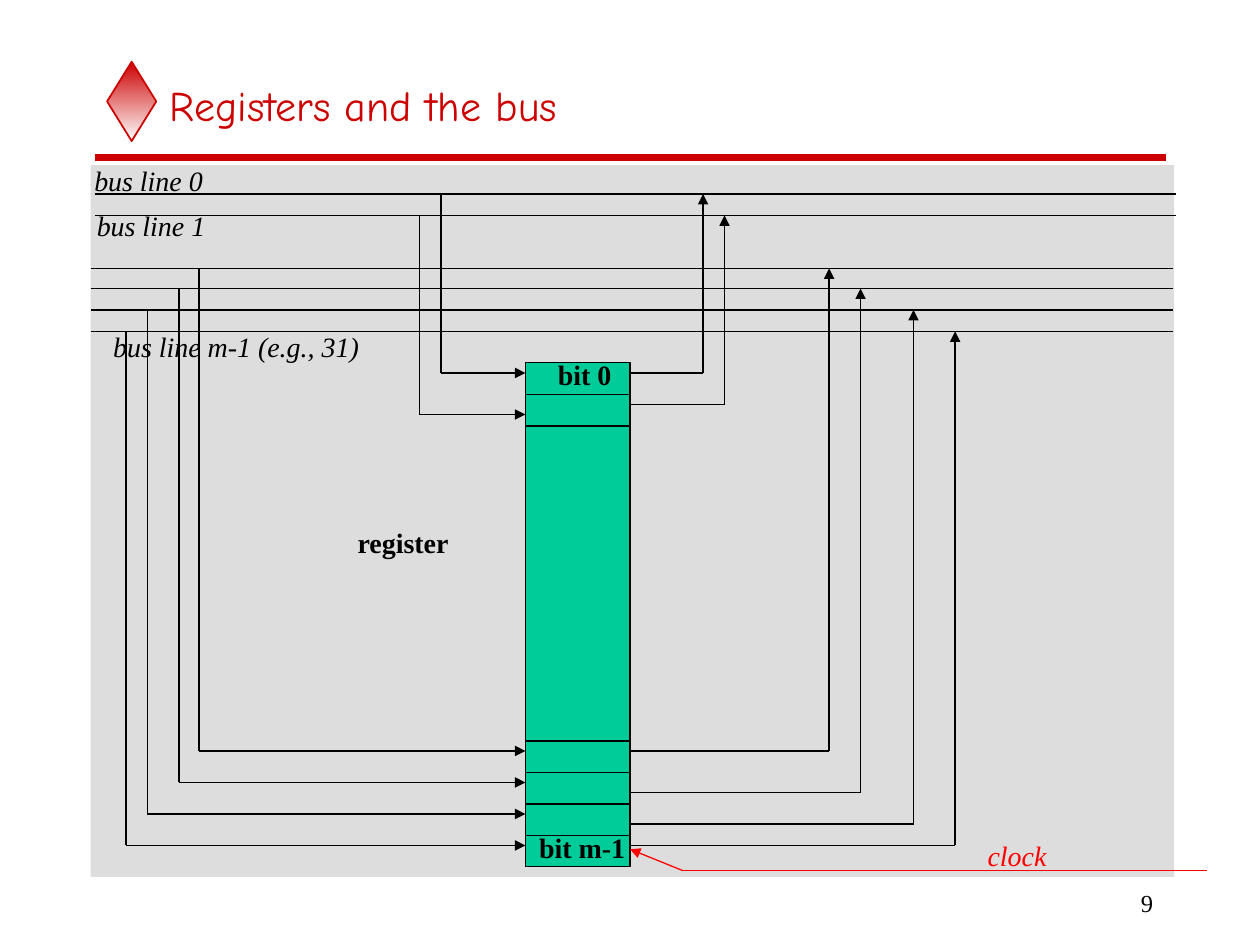
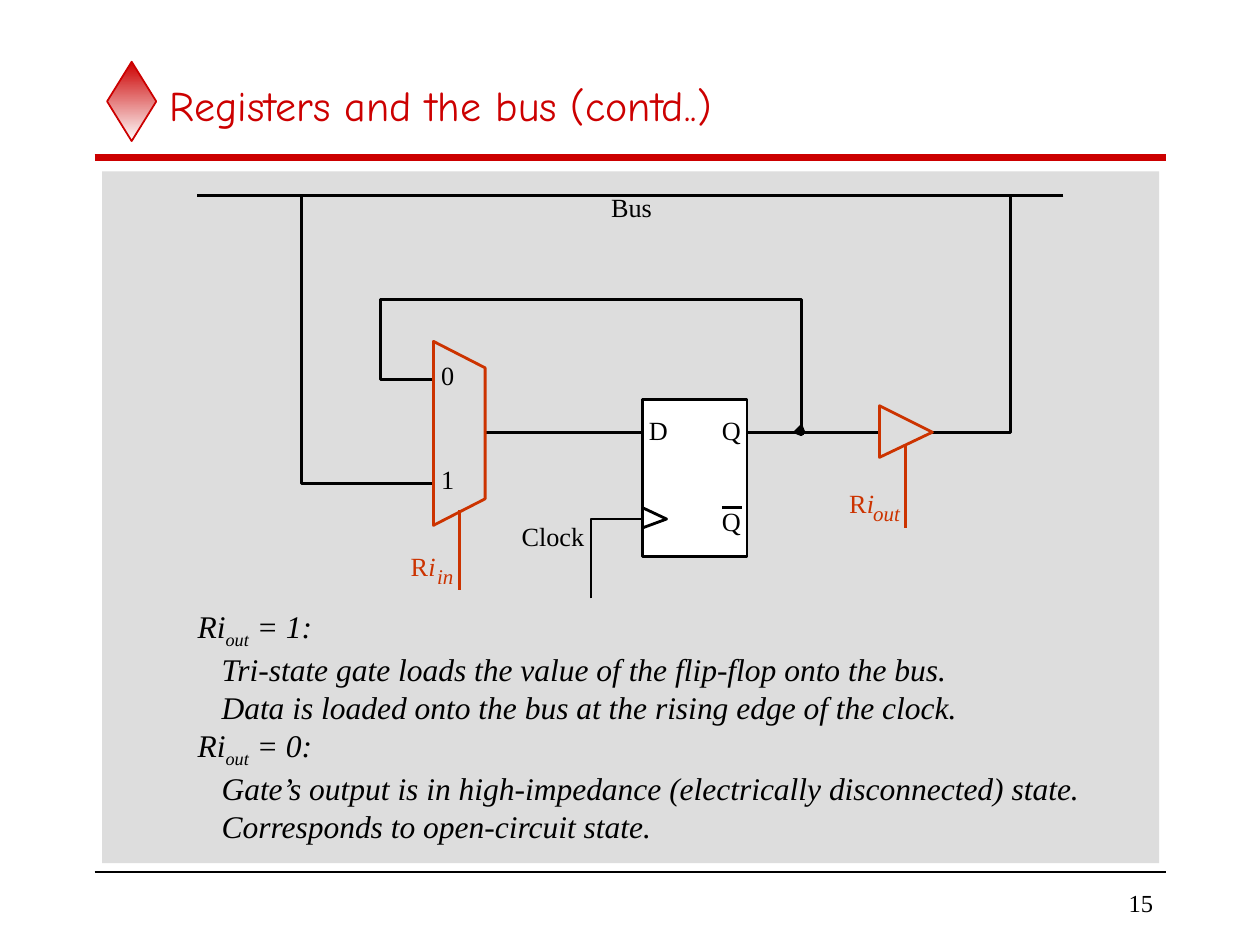
from lxml import etree
from pptx import Presentation
from pptx.dml.color import RGBColor
from pptx.enum import shapes, text
from pptx.oxml.ns import qn
from pptx.util import Emu, Pt

PX = 9144
COLORS = {
    "red": "CC0000", "pale": "FEFEFE", "panel": "DDDDDD", "green": "00CC99",
    "black": "000000", "white": "FFFFFF", "clock": "FF0000", "control": "CC3300",
}
THIN, WIRE = 0.75, 1.62
SERIF, TITLE_FONT = "Times New Roman", "Comic Neue"
FITTED = {"word_wrap": False, "auto_size": text.MSO_AUTO_SIZE.SHAPE_TO_FIT_TEXT}
CENTERED = {"word_wrap": True, "vertical_anchor": text.MSO_ANCHOR.MIDDLE}


def px(*values):
    return [Emu(value * PX) for value in values]


def rgb(name):
    return RGBColor.from_string(COLORS[name])


class Deck:
    def __init__(self):
        self.presentation = Presentation()
        self.presentation.slide_width, self.presentation.slide_height = px(1000, 750)
        self.slide = None

    def start(self, title, number, panel, footer_rule=False):
        self.slide = self.presentation.slides.add_slide(self.presentation.slide_layouts[6])
        diamond = self.shape("DIAMOND", (85, 49, 39, 63), None, "red", 1)
        diamond.fill.gradient()
        diamond.fill.gradient_angle = 270
        for stop, color in zip(diamond.fill.gradient_stops, ("red", "pale")):
            stop.color.rgb = rgb(color)
        self.line(75, 125, 925, 125, "red", 4)
        if footer_rule:
            self.line(75, 692, 925, 692, "black", 1)
        self.shape("RECTANGLE", panel, "panel")
        self.text((125, 50, 800, 67), title, 24, "red", TITLE_FONT, frame=CENTERED)
        self.text((783, 700, 142, 33), number, 14, frame=CENTERED,
                  align=text.PP_ALIGN.RIGHT)

    def finish(self, shape, fill, line, width):
        shape.shadow.inherit = False
        if fill:
            shape.fill.solid()
            shape.fill.fore_color.rgb = rgb(fill)
        else:
            shape.fill.background()
        if line:
            shape.line.color.rgb = rgb(line)
            shape.line.width = Pt(width)
        else:
            shape.line.fill.background()
        return shape

    def shape(self, kind, box, fill=None, line=None, width=THIN):
        shape = self.slide.shapes.add_shape(
            getattr(shapes.MSO_SHAPE, kind), *px(*box))
        return self.finish(shape, fill, line, width)

    def outline(self, points, color="black", fill=None, closed=False):
        builder = self.slide.shapes.build_freeform(*points[0], scale=PX)
        builder.add_line_segments(points[1:], close=closed)
        return self.finish(builder.convert_to_shape(), fill, color, WIRE)

    def line(self, x1, y1, x2, y2, color="black", width=THIN, arrow=False):
        connector = self.slide.shapes.add_connector(
            shapes.MSO_CONNECTOR.STRAIGHT, *px(x1, y1, x2, y2))
        connector.line.color.rgb = rgb(color)
        connector.line.width = Pt(width)
        properties = connector._element.spPr
        if arrow:
            etree.SubElement(properties.find(qn("a:ln")), qn("a:tailEnd"), type="triangle")
        etree.SubElement(properties, qn("a:effectLst"))

    def text(self, box, content, size, color="black", font=SERIF, inset=True,
             frame=FITTED, align=None, **style):
        text_frame = self.slide.shapes.add_textbox(*px(*box)).text_frame
        side, edge = (10, 5) if inset else (0, 0)
        margins = dict(zip(("margin_left", "margin_right", "margin_top", "margin_bottom"),
                           px(side, side, edge, edge)))
        for name, value in {**margins, **frame}.items():
            setattr(text_frame, name, value)
        paragraph = text_frame.paragraphs[0]
        paragraph.alignment = align
        self.run(paragraph, content, size, color, font, **style)
        return text_frame

    def run(self, paragraph, content, size, color="black", font=SERIF, **style):
        run = paragraph.add_run()
        run.text = content
        for name, value in {"name": font, "size": Pt(size), **style}.items():
            setattr(run.font, name, value)
        run.font.color.rgb = rgb(color)
        return run

    def label(self, left, top, width, content, color="black", **style):
        self.text((left, top, width, 37), content, 16, color, **style)

    def pin(self, left, top, width, content, color="black", size=15, **style):
        self.text((left, top, width, 25), content, size, color, inset=False, **style)

    def control_name(self, left, top, subscript, width, gap):
        self.pin(left, top, 14, "R", "control")
        self.pin(left + 14, top, 6, "i", "control", italic=True)
        self.pin(left + gap, top + 10, width, subscript, "control", 12, italic=True)

    def states(self, box, groups):
        text_frame = self.text(box, "Ri", 18, italic=True)
        paragraph = text_frame.paragraphs[0]
        for index, (value, notes) in enumerate(groups):
            if index:
                paragraph = text_frame.add_paragraph()
                self.run(paragraph, "Ri", 18, italic=True)
            subscript = self.run(paragraph, "out", 18, italic=True)
            subscript._r.get_or_add_rPr().set("baseline", "-25000")
            self.run(paragraph, f" = {value}:", 18, italic=True)
            for note in notes:
                paragraph = text_frame.add_paragraph()
                paragraph._p.get_or_add_pPr().set("marL", str(19 * PX))
                self.run(paragraph, note, 18, italic=True)


def register_slide(deck):
    deck.start("Registers and the bus", "9", (72, 131, 860, 565))
    left, right = 417, 500
    deck.shape("RECTANGLE", (left, 288, right - left, 400), "green", "black")
    for y in (313, 338, 588, 613, 638, 663):
        deck.line(left, y, right, y)

    bus_lines = (154, 171, 213, 229, 246, 263)
    inputs = ((350, 296), (333, 329), (158, 596), (142, 621), (117, 646), (100, 671))
    outputs = ((558, 296), (575, 321), (658, 596), (683, 629), (725, 654), (758, 671))
    for index, y in enumerate(bus_lines):
        start, end = (75, 933) if index < 2 else (72, 931)
        deck.line(start, y, end, y)
    for bus, (x, y) in zip(bus_lines, inputs):
        deck.line(x, bus, x, y)
        deck.line(x, y, left, y, arrow=True)
    for bus, (x, y) in zip(bus_lines, outputs):
        deck.line(right, y, x, y)
        deck.line(x, y, x, bus, arrow=True)

    deck.label(65, 125, 107, "bus line 0", italic=True)
    deck.label(67, 161, 107, "bus line 1", italic=True)
    deck.label(80, 257, 216, "bus line m-1 (e.g., 31)", italic=True)
    deck.label(433, 279, 64, "bit 0", bold=True)
    deck.label(418, 654, 89, "bit m-1", bold=True)
    deck.label(274, 412, 93, "register", bold=True)
    deck.label(774, 661, 68, "clock", "clock", italic=True)
    deck.line(542, 691, 958, 691, "clock")
    deck.line(542, 691, right, 674, "clock", arrow=True)


def bit_slide(deck):
    deck.start("Registers and the bus (contd..)", "15", (81, 136, 839, 549), True)
    bus, signal = 155, 343
    deck.outline([(633, 340), (638, 340), (638, 345), (633, 345)], None, "black", True)
    deck.outline([(636, 338), (631, 343), (636, 345), (638, 343), (636, 338)])

    deck.shape("RECTANGLE", (510, 317, 83, 125), "white", "black", WIRE)
    deck.pin(515, 329, 15, "D")
    deck.pin(573, 329, 15, "Q")
    deck.line(573, 403, 589, 403, width=WIRE)
    deck.pin(573, 401, 15, "Q")
    deck.outline([(510, 419), (529, 412), (510, 403)])
    deck.outline([(469, 475), (469, 412), (510, 412)])
    deck.pin(414, 413, 51, "Clock")

    deck.outline([(636, signal), (636, 238), (302, 238), (302, 301), (344, 301)])
    deck.line(698, signal, 594, signal, width=WIRE)
    deck.line(510, signal, 385, signal, width=WIRE)
    deck.line(844, bus, 156, bus, width=WIRE)
    deck.outline([(802, bus), (802, signal), (740, signal)])
    deck.outline([(239, bus), (239, 384), (344, 384)])
    deck.pin(485, 152, 34, "Bus")

    deck.outline([(344, 417), (385, 396), (385, 292), (344, 271)], "control", closed=True)
    deck.pin(350, 285, 11, "0")
    deck.pin(350, 368, 11, "1")
    deck.line(365, 468, 365, 405, "control", WIRE)
    deck.control_name(326, 437, "in", 14, 21)

    deck.outline([(740, signal), (698, 363), (698, 322)], "control", closed=True)
    deck.line(719, 419, 719, 354, "control", WIRE)
    deck.control_name(674, 387, "out", 23, 19)

    deck.states((147, 477, 723, 198), (
        (1, ("Tri-state gate loads the value of the flip-flop onto the bus.",
             "Data is loaded onto the bus at the rising edge of the clock.")),
        (0, ("Gate’s output is in high-impedance (electrically disconnected) state.",
             "Corresponds to open-circuit state.")),
    ))


def main():
    deck = Deck()
    register_slide(deck)
    bit_slide(deck)
    deck.presentation.save("out.pptx")


if __name__ == "__main__":
    main()
